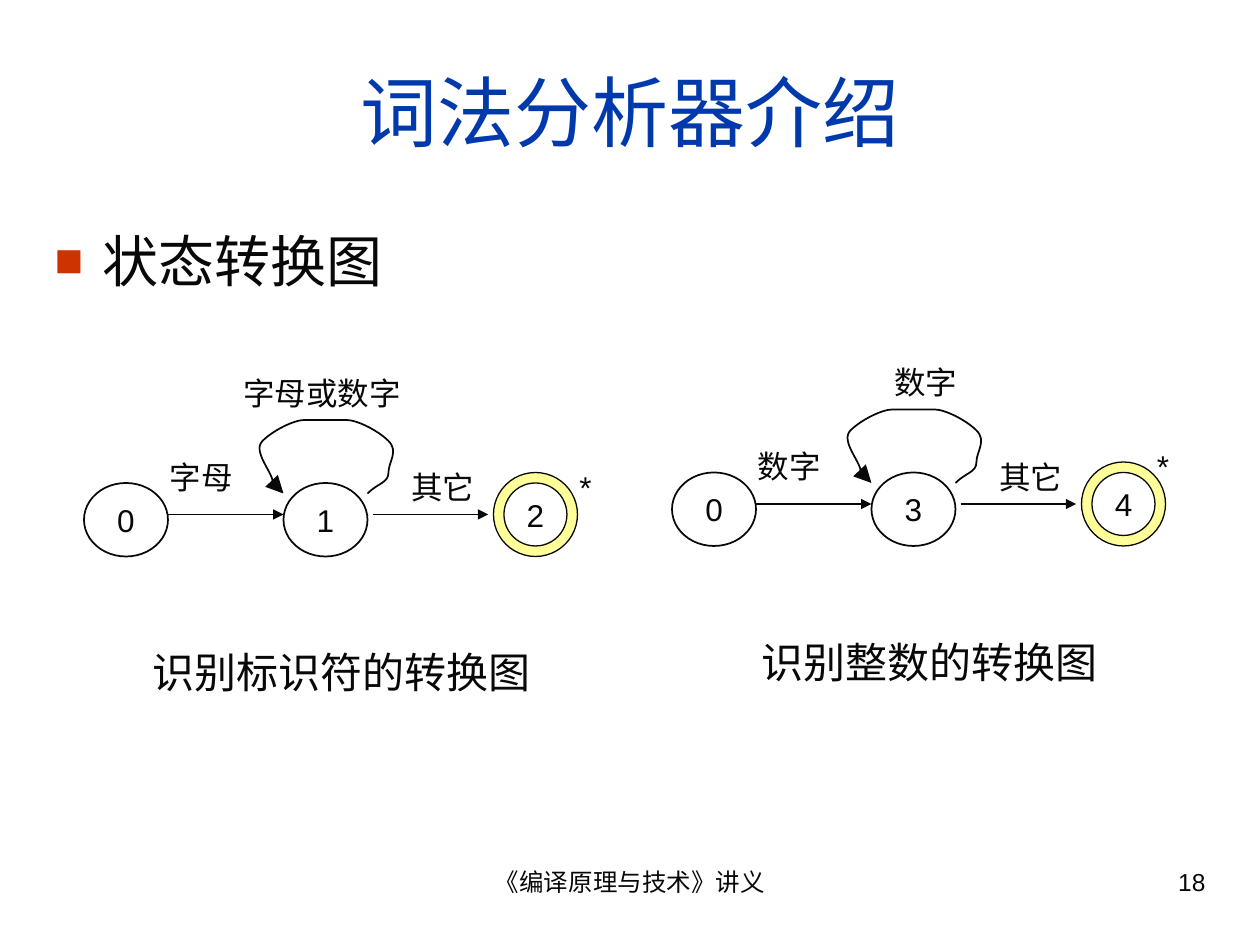
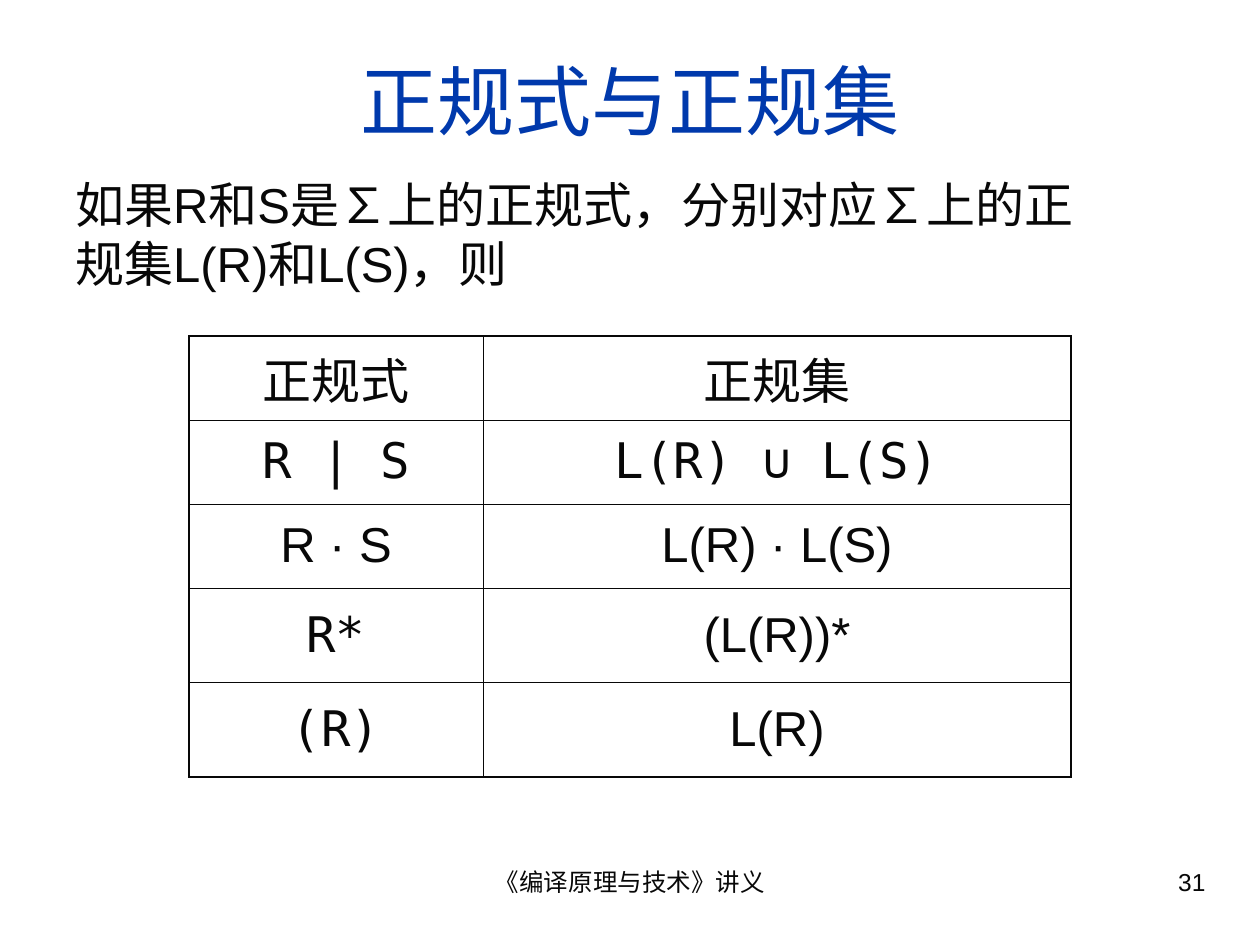
from lxml import etree
from pptx import Presentation
from pptx.dml.color import RGBColor
from pptx.enum.shapes import MSO_CONNECTOR, MSO_SHAPE
from pptx.enum.text import MSO_ANCHOR, MSO_AUTO_SIZE, PP_ALIGN
from pptx.oxml.ns import qn
from pptx.util import Inches, Pt

LEFT, CENTER, RIGHT = PP_ALIGN.LEFT, PP_ALIGN.CENTER, PP_ALIGN.RIGHT
MIDDLE = MSO_ANCHOR.MIDDLE
NO_FIT = MSO_AUTO_SIZE.NONE
STRAIGHT = MSO_CONNECTOR.STRAIGHT
OVAL, DONUT = MSO_SHAPE.OVAL, MSO_SHAPE.DONUT
TITLE_AND_BODY, TITLE_ONLY = 1, 5

INK, TITLE_BLUE, BULLET_RED, ACCEPT_YELLOW = "080808", "0039AC", "CC3300", "FFFF99"
SANS, MONO = "Arial", "DejaVu Sans Mono"
FOOTER = "《编译原理与技术》讲义"

# The slide is a grid of 120 columns by 90 rows, all cells square.
COLS, ROWS = 120, 90
CELL = Inches(10) / COLS

# Self-loop as a start point followed by triples of Bezier points.
LOOP = [(27, 12),
        (27.8, 11.4), (28.7, 10.8), (29, 10),
        (29.3, 9.2), (29.7, 7.8), (29, 7),
        (28.3, 6.2), (26.3, 5.3), (25, 5),
        (23.7, 4.7), (22.3, 4.7), (21, 5),
        (19.7, 5.3), (17.5, 6), (17, 7),
        (16.5, 8), (17.7, 10.2), (18, 11),
        (18.3, 11.8), (18.8, 11.8), (19, 12)]


def grid(*cells):
    return [round(c * CELL) for c in cells]


def rgb(color):
    return RGBColor.from_string(color)


def sub(parent, tag, **attrs):
    return etree.SubElement(parent, qn(tag), attrs)


def write(tf, text, size, color=INK, font=SANS, align=LEFT, before=0):
    p = tf.paragraphs[0]
    p.alignment = align
    p.space_before = Pt(before)
    r = p.add_run()
    r.text = text
    r.font.size = Pt(size)
    r.font.name = font
    r.font.color.rgb = rgb(color)
    return p


def add_text(s, box, text, size, **style):
    tf = s.shapes.add_textbox(*grid(*box)).text_frame
    tf.word_wrap = True
    write(tf, text, size, **style)


def set_line(shape, width=1.0, arrow=None):
    """Draw the outline in ink; arrow is the size of the end head."""
    shape.line.color.rgb = rgb(INK)
    shape.line.width = Pt(width)
    if arrow:
        sub(shape.line._get_or_add_ln(), "a:tailEnd", type="triangle", w=arrow, len=arrow)


def fill_placeholder(ph, box, text, size, **style):
    ph.left, ph.top, ph.width, ph.height = grid(*box)
    ph.text_frame.auto_size = NO_FIT
    return write(ph.text_frame, text, size, **style)


def add_slide(prs, layout, title, title_row, number):
    s = prs.slides.add_slide(prs.slide_layouts[layout])
    fill_placeholder(s.shapes.title, (4, title_row, 112, 15), title, 44,
                     color=TITLE_BLUE, align=CENTER)
    s.shapes.title.text_frame.vertical_anchor = MIDDLE
    add_text(s, (41, 82, 38, 6.2), FOOTER, 14, align=CENTER)
    add_text(s, (86, 82, 30, 6.2), str(number), 14, align=RIGHT)
    return s


def add_bullet(ph, box, text):
    p = fill_placeholder(ph, box, text, 32, before=8)
    pPr = p._p.get_or_add_pPr()
    pPr.set("marL", str(Inches(0.38)))
    pPr.set("indent", str(-Inches(0.38)))
    sub(sub(pPr, "a:buClr"), "a:srgbClr", val=BULLET_RED)
    sub(pPr, "a:buSzPct", val="85000")
    sub(pPr, "a:buFont", typeface=SANS)
    sub(pPr, "a:buChar", char="■")


def add_state(s, box, name, accepting=False):
    state = s.shapes.add_shape(DONUT if accepting else OVAL, *grid(*box))
    state.shadow.inherit = False
    if accepting:
        state.adjustments[0] = 0.125
        state.fill.solid()
        state.fill.fore_color.rgb = rgb(ACCEPT_YELLOW)
    else:
        state.fill.background()
    set_line(state, 0.75 if accepting else 1)
    tf = state.text_frame
    tf.word_wrap = False
    tf.vertical_anchor = MIDDLE
    write(tf, name, 18, align=CENTER)


def add_arrow(s, x1, x2, y):
    arrow = s.shapes.add_connector(STRAIGHT, *grid(x1, y, x2, y))
    set_line(arrow, arrow="med")
    sub(arrow._element.spPr, "a:effectLst")


def add_loop(s, x, y):
    points = [(x + dx, y + dy) for dx, dy in LOOP]
    builder = s.shapes.build_freeform(*points[0], scale=CELL)
    builder.add_line_segments(points[1:], close=False)
    loop = builder.convert_to_shape()
    path = loop._element.find(".//" + qn("a:path"))
    segments = path.findall(qn("a:lnTo"))
    for i in range(0, len(segments), 3):
        curve = sub(path, "a:cubicBezTo")
        for segment in segments[i:i + 3]:
            curve.append(segment[0])
            path.remove(segment)
    loop.shadow.inherit = False
    loop.fill.background()
    set_line(loop, arrow="lg")


def add_transition_diagram(s, x, y, states, entry, repeat, repeat_x, star, caption):
    """Place a three-state diagram with its top left at column x, row y."""
    start, middle, accept = states
    add_state(s, (x, y + 11, 8, 7), start)
    add_state(s, (x + 19, y + 11, 8, 7), middle)
    add_state(s, (x + 39, y + 10, 8, 8), accept, accepting=True)
    add_arrow(s, x + 8, x + 19, y + 14)
    add_arrow(s, x + 27.5, x + 38.5, y + 14)
    add_loop(s, x, y)
    labels = [(entry, 7, 8, 11), ("其它", 30, 9, 9),
              (repeat, repeat_x, 0, 19), ("*", *star, 5)]
    for text, dx, dy, width in labels:
        add_text(s, (x + dx, y + dy, width, 4.8), text, 18, before=11.2)
    add_text(s, (x + 5, y + 26, 39, 6), caption, 24, align=CENTER, before=15)


def add_border(tcPr, index, tag, width):
    ln = etree.Element(qn(tag), w=str(Pt(width)))
    sub(sub(ln, "a:solidFill"), "a:srgbClr", val=INK)
    tcPr.insert(index, ln)


def add_rule_table(s, box, col_widths, row_heights, rows):
    """Each row is two (text, font) pairs; the outer frame is heavier."""
    table = s.shapes.add_table(len(rows), len(col_widths), *grid(*box)).table
    table.first_row = table.horz_banding = False
    for col, width in zip(table.columns, grid(*col_widths)):
        col.width = width
    for row, height in zip(table.rows, grid(*row_heights)):
        row.height = height
    last_row, last_col = len(rows) - 1, len(col_widths) - 1
    for i, row in enumerate(rows):
        for j, (text, font) in enumerate(row):
            cell = table.cell(i, j)
            cell.fill.background()
            cell.vertical_anchor = MIDDLE
            write(cell.text_frame, text, 28, font=font, align=CENTER, before=7)
            sides = [("a:lnL", j == 0), ("a:lnR", j == last_col),
                     ("a:lnT", i == 0), ("a:lnB", i == last_row)]
            for k, (tag, outer) in enumerate(sides):
                add_border(cell._tc.get_or_add_tcPr(), k, tag, 1.08 if outer else 0.45)


def build_lexer_slide(prs):
    s = add_slide(prs, TITLE_AND_BODY, "词法分析器介绍", 3, 18)
    add_bullet(s.placeholders[1], (4, 21, 112, 10), "状态转换图")
    add_transition_diagram(s, 8, 35, "012", "字母", "字母或数字", 14, (46, 9),
                           "识别标识符的转换图")
    add_transition_diagram(s, 64, 34, "034", "数字", "数字", 20, (45, 8),
                           "识别整数的转换图")


def build_regular_set_slide(prs):
    s = add_slide(prs, TITLE_ONLY, "正规式与正规集", 2, 31)
    add_rule_table(s, (18, 32, 84, 42), (28, 56), (8, 8, 8, 9, 9), [
        [("正规式", SANS), ("正规集", SANS)],
        [("R | S", MONO), ("L(R) ∪ L(S)", MONO)],
        [("R · S", SANS), ("L(R) · L(S)", SANS)],
        [("R*", MONO), ("(L(R))*", SANS)],
        [("(R)", MONO), ("L(R)", SANS)],
    ])
    add_text(s, (6, 16, 102, 12.5),
             "如果R和S是∑上的正规式，分别对应∑上的正规集L(R)和L(S)，则", 28, before=7)


def main():
    prs = Presentation()
    prs.slide_width, prs.slide_height = grid(COLS, ROWS)
    build_lexer_slide(prs)
    build_regular_set_slide(prs)
    prs.save("out.pptx")


if __name__ == "__main__":
    main()
